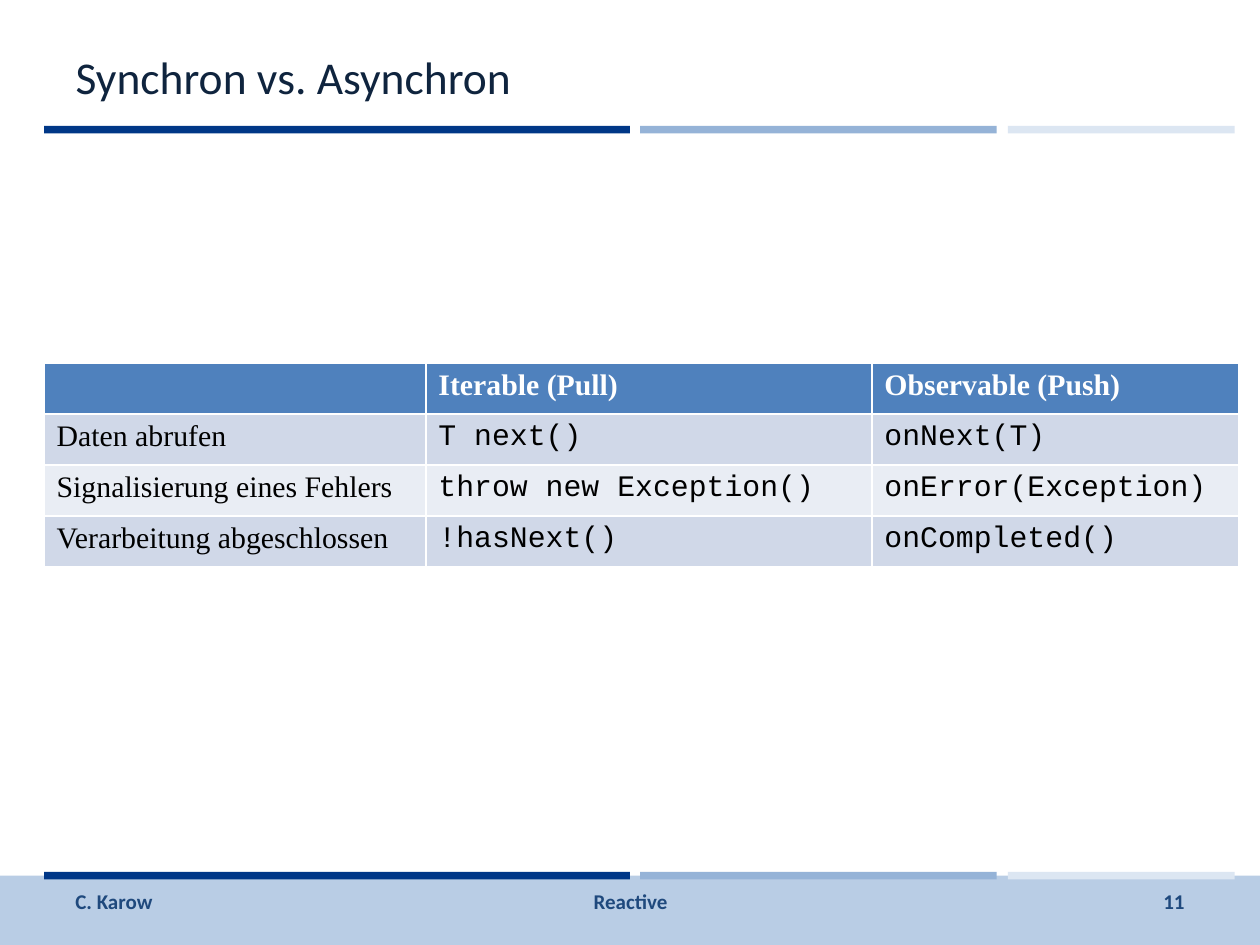
from pptx import Presentation
from pptx.dml.color import RGBColor
from pptx.enum.shapes import MSO_SHAPE
from pptx.enum.text import MSO_ANCHOR, PP_ALIGN
from pptx.util import Inches, Pt

RECTANGLE = MSO_SHAPE.RECTANGLE
MIDDLE = MSO_ANCHOR.MIDDLE
LEFT, CENTER, RIGHT = PP_ALIGN.LEFT, PP_ALIGN.CENTER, PP_ALIGN.RIGHT
TITLE_ONLY = 5

THEME = {
    "sans": "Calibri", "serif": "Times New Roman", "mono": "Courier New",
    "title_size": 26, "table_size": 17, "footer_size": 12,
    "title": "0F243E", "footer": "1F497D", "band": "B9CDE5",
    "bars": ("003787", "95B3D7", "DCE6F2"),
    "header": "4F81BD", "rows": ("D0D8E8", "E9EDF4"),
    "white": "FFFFFF", "black": "000000",
}

deck = Presentation()
deck.slide_width, deck.slide_height = Inches(10), Inches(7.5)
page = deck.slides.add_slide(deck.slide_layouts[TITLE_ONLY])


def add_bar(left, top, width, height, color):
    bar = page.shapes.add_shape(RECTANGLE, Inches(left), Inches(top), Inches(width), Inches(height))
    bar.shadow.inherit = False
    bar.fill.solid()
    bar.fill.fore_color.rgb = RGBColor.from_string(color)
    bar.line.fill.background()


def write(frame, text, font, size, color, bold=False, align=LEFT):
    frame.text = text
    para = frame.paragraphs[0]
    para.alignment = align
    for span in para.runs:
        span.font.name, span.font.size, span.font.bold = font, Pt(size), bold
        span.font.color.rgb = RGBColor.from_string(color)


# Footer band and the two rows of three bars
add_bar(0, 6.95, 10, 0.55, THEME["band"])
for top in (1, 6.92):
    for left, width, color in zip((0.35, 5.08, 8), (4.65, 2.83, 1.8), THEME["bars"]):
        add_bar(left, top, width, 0.06, color)

# Title
title = page.shapes.title
title.left, title.top, title.width, title.height = map(Inches, (0.5, 0.3, 6.63, 0.61))
title.text_frame.vertical_anchor = MIDDLE
write(title.text_frame, "Synchron vs. Asynchron", THEME["sans"], THEME["title_size"], THEME["title"])

# Comparison table
content = [
    ("", "Iterable (Pull)", "Observable (Push)"),
    ("Daten abrufen", "T next()", "onNext(T)"),
    ("Signalisierung eines Fehlers", "throw new Exception()", "onError(Exception)"),
    ("Verarbeitung abgeschlossen", "!hasNext()", "onCompleted()"),
]
column_widths = (3.03, 3.54, 2.91)
table = page.shapes.add_table(len(content), len(column_widths), Inches(0.35), Inches(2.88),
                              Inches(sum(column_widths)), Inches(1.62)).table
for column, width in zip(table.columns, column_widths):
    column.width = Inches(width)
for row_index, row in enumerate(content):
    is_header = row_index == 0
    fill = THEME["header"] if is_header else THEME["rows"][(row_index - 1) % 2]
    color = THEME["white"] if is_header else THEME["black"]
    for column_index, text in enumerate(row):
        cell = table.cell(row_index, column_index)
        cell.fill.solid()
        cell.fill.fore_color.rgb = RGBColor.from_string(fill)
        font = THEME["serif"] if is_header or column_index == 0 else THEME["mono"]
        write(cell.text_frame, text, font, THEME["table_size"], color, bold=is_header)

# Footer texts
for left, width, text, align in (
    (0.5, 2.33, "C. Karow", LEFT),
    (3.42, 3.17, "Reactive", CENTER),
    (7.17, 2.33, "11", RIGHT),
):
    box = page.shapes.add_textbox(Inches(left), Inches(6.95), Inches(width), Inches(0.4))
    box.text_frame.word_wrap = True
    box.text_frame.vertical_anchor = MIDDLE
    write(box.text_frame, text, THEME["sans"], THEME["footer_size"], THEME["footer"], True, align)

deck.save("out.pptx")
